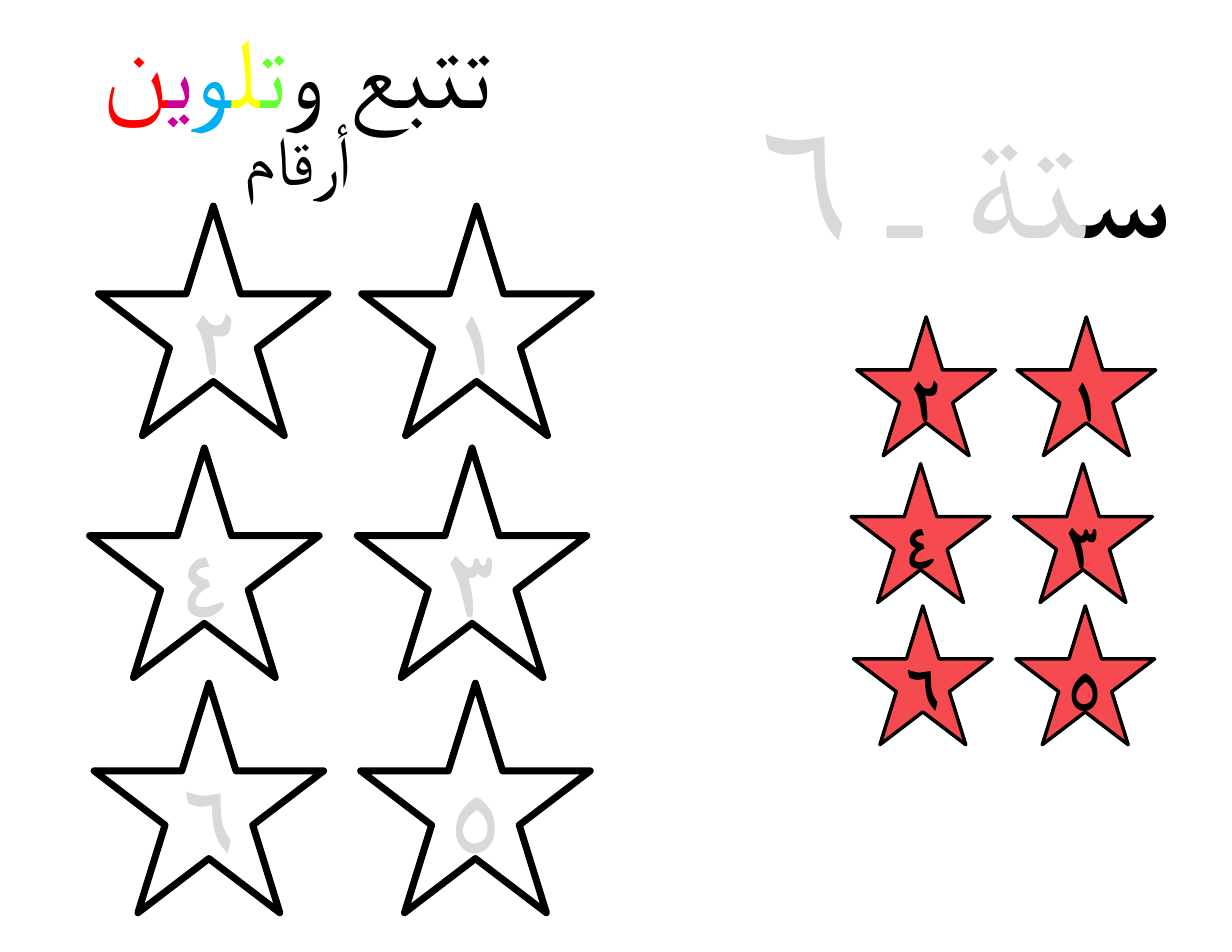
from typing import NamedTuple

from lxml import etree
from pptx import Presentation
from pptx.dml.color import RGBColor
from pptx.enum.shapes import MSO_SHAPE
from pptx.enum.text import MSO_ANCHOR, MSO_AUTO_SIZE, PP_ALIGN
from pptx.oxml.ns import qn
from pptx.util import Pt

PX = 9144  # EMU per px, 100 px to the inch
STAR = MSO_SHAPE.STAR_5_POINT
MID = MSO_ANCHOR.MIDDLE
GROW = MSO_AUTO_SIZE.SHAPE_TO_FIT_TEXT
LEFT, CENTER = PP_ALIGN.LEFT, PP_ALIGN.CENTER

BLACK = RGBColor(0x00, 0x00, 0x00)
WHITE = RGBColor(0xFF, 0xFF, 0xFF)
GRAY = RGBColor(0xD9, 0xD9, 0xD9)
CORAL = RGBColor(0xF5, 0x4A, 0x4F)
GREEN = RGBColor(0x66, 0xFF, 0x33)
YELLOW = RGBColor(0xFF, 0xFF, 0x00)
BLUE = RGBColor(0x00, 0xB0, 0xF0)
PURPLE = RGBColor(0xCC, 0x00, 0x99)
RED = RGBColor(0xFF, 0x00, 0x00)

DIGITS = "١٢٣٤٥٦"


class Run(NamedTuple):
    text: str
    color: RGBColor


class Label(NamedTuple):
    box: tuple[int, int, int, int]  # left, top, width, height
    align: PP_ALIGN
    form: dict
    runs: list[Run]


class Row(NamedTuple):
    top: int
    right: int  # left edge of the right star, which is read first
    left: int


class Stars(NamedTuple):
    size: int
    fill: RGBColor
    line: float
    ink: RGBColor
    form: dict
    rows: list[Row]


WORD = Label((671, 59, 419, 190), LEFT, {"name": "Lato", "size": Pt(107)},
             [Run("س", BLACK), Run("تة ـ ٦", GRAY)])
TITLE = Label((-10, 0, 551, 121), CENTER,
              {"name": "Montserrat", "size": Pt(66)},
              [Run("تتبع و", BLACK), Run("ت", GREEN), Run("ل", YELLOW),
               Run("و", BLUE), Run("ي", PURPLE), Run("ن", RED)])
TOPIC = Label((10, 100, 512, 84), CENTER,
              {"name": "Montserrat", "size": Pt(44)}, [Run("أرقام", BLACK)])

TRACE = Stars(205, WHITE, 4.5, GRAY,
              {"name": "Lato", "size": Pt(60), "bold": True},
              [Row(184, 323, 88), Row(400, 319, 80), Row(610, 322, 84)])
COUNT = Stars(124, CORAL, 2.25, BLACK,
              {"name": "Montserrat", "size": Pt(40), "bold": True},
              [Row(283, 908, 765), Row(414, 905, 760), Row(541, 907, 762)])


def write(para, runs: list[Run], align: PP_ALIGN, form: dict) -> None:
    para.alignment = align
    for part in runs:
        run = para.add_run()
        run.text = part.text
        for key, value in form.items():
            setattr(run.font, key, value)
        run.font.color.rgb = part.color
        # Arabic letters take the complex-script font
        etree.SubElement(run.font._element, qn("a:cs"), typeface=form["name"])


def add_label(slide, label: Label) -> None:
    frame = slide.shapes.add_textbox(*(n * PX for n in label.box)).text_frame
    frame.word_wrap = True
    frame.auto_size = GROW
    write(frame.paragraphs[0], label.runs, label.align, label.form)


def add_star(group, stars: Stars, left: int, top: int, digit: str) -> None:
    side = stars.size * PX
    star = group.shapes.add_shape(STAR, left * PX, top * PX, side, side)
    star.shadow.inherit = False
    star.fill.solid()
    star.fill.fore_color.rgb = stars.fill
    star.line.color.rgb = BLACK
    star.line.width = Pt(stars.line)
    star._element.spPr.xfrm.set("flipH", "1")
    frame = star.text_frame
    frame.word_wrap = True
    frame.vertical_anchor = MID
    write(frame.paragraphs[0], [Run(digit, stars.ink)], CENTER, stars.form)


def add_stars(slide, stars: Stars) -> None:
    group = slide.shapes.add_group_shape()
    spots = [(x, row.top) for row in stars.rows for x in (row.right, row.left)]
    for (left, top), digit in zip(spots, DIGITS):
        add_star(group, stars, left, top, digit)


def main() -> None:
    deck = Presentation()
    deck.slide_width, deck.slide_height = 1100 * PX, 850 * PX
    slide = deck.slides.add_slide(deck.slide_layouts[6])

    # Word to trace, then the two sets of stars
    add_label(slide, WORD)
    add_stars(slide, TRACE)
    add_stars(slide, COUNT)

    # Heading
    add_label(slide, TITLE)
    add_label(slide, TOPIC)

    deck.save("out.pptx")


if __name__ == "__main__":
    main()
